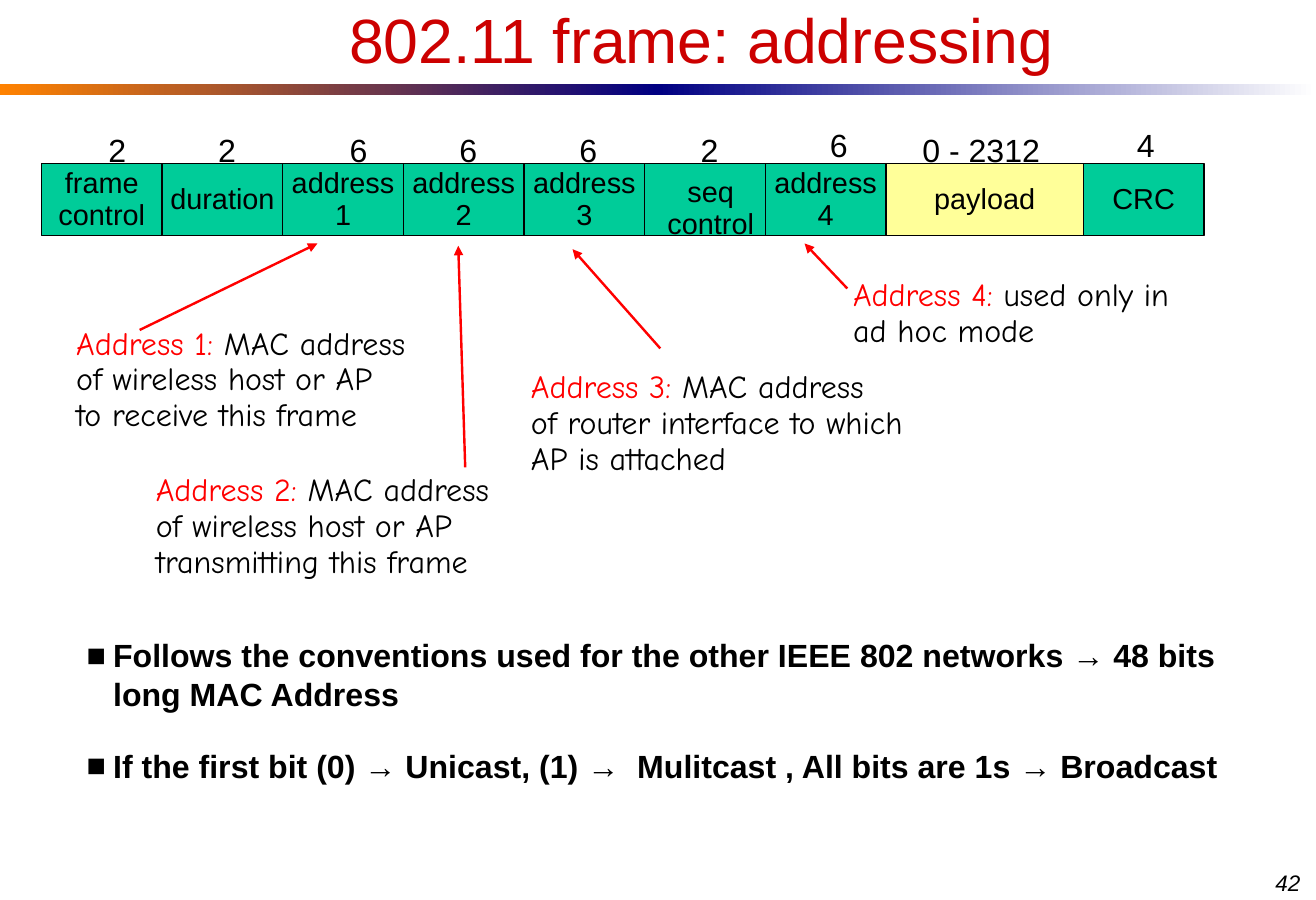
from dataclasses import dataclass

from lxml import etree
from pptx import Presentation
from pptx.dml.color import RGBColor
from pptx.enum import shapes, text
from pptx.oxml import ns
from pptx.util import Inches, Pt


@dataclass(frozen=True)
class Theme:
    black: str = "000000"
    white: str = "FFFFFF"
    title: str = "CC0000"
    red: str = "FF0000"
    orange: str = "FF8200"
    navy: str = "000082"
    header: str = "00CC99"
    payload: str = "FFFF99"
    sans: str = "Arial"
    comic: str = "Comic Neue"
    title_size: float = 39
    body_size: float = 20
    cell_size: float = 18
    number_size: float = 14
    leading: float = 0.93


@dataclass(frozen=True)
class Box:
    left: float
    top: float
    width: float
    height: float

    def inches(self):
        return [Inches(v) for v in (self.left, self.top, self.width, self.height)]


@dataclass(frozen=True)
class Field:
    """One frame field; size_x is the centre of its byte count within the strip."""
    name: str
    size: str
    size_x: float
    size_rise: float = 0.31
    width: float = 1.045
    fill: str = Theme.header
    name_shift: tuple = (0, 0)


THEME = Theme()
FIELDS = [
    Field("frame\ncontrol", "2", 0.655),
    Field("duration", "2", 1.605),
    Field("address\n1", "6", 2.745),
    Field("address\n2", "6", 3.695),
    Field("address\n3", "6", 4.735),
    Field("seq\ncontrol", "2", 5.785, name_shift=(0.05, 0.08)),
    Field("address\n4", "6", 6.905, 0.35),
    Field("payload", "0 - 2312", 8.14, width=1.71, fill=THEME.payload),
    Field("CRC", "4", 9.565, 0.35),
]
# Box, label, lines, arrow start and arrow tip (both measured from the box corner)
CALLOUTS = [
    (Box(0.55, 2.78, 3.08, 1.04), "Address 1:",
     [" MAC address", "of wireless host or AP", "to receive this frame"],
     (0.66, 0.08), (2.2, -0.67)),
    (Box(1.24, 4.05, 3.12, 1.04), "Address 2:",
     [" MAC address", "of wireless host or AP", "transmitting this frame"],
     (2.79, 0), (2.73, -1.92)),
    (Box(4.49, 3.16, 3.8, 1.04), "Address 3:",
     [" MAC address", "of router interface to which AP is attached"],
     (1.23, -0.14), (0.47, -1)),
    (Box(7.28, 2.36, 3.25, 0.73), "Address 4:", [" used only in ad hoc mode"],
     (0.06, 0.14), (-0.31, -0.25)),
]
NOTES = [
    "Follows the conventions used for the other IEEE 802 networks → 48 bits long MAC Address",
    "If the first bit (0) → Unicast, (1) →  Mulitcast , All bits are 1s → Broadcast",
]


def rgb(color):
    return RGBColor.from_string(color)


def style(para, size, color=THEME.black, name=THEME.sans, bold=False, italic=False):
    font = para.font
    font.size, font.name, font.bold, font.italic = Pt(size), name, bold, italic
    font.color.rgb = rgb(color)


def add_text_box(page, box):
    frame = page.shapes.add_textbox(*box.inches()).text_frame
    frame.word_wrap = True
    return frame


def write_lines(frame, lines, size, name=THEME.sans, align=text.PP_ALIGN.CENTER):
    for index, line in enumerate(lines):
        para = frame.paragraphs[0] if index == 0 else frame.add_paragraph()
        para.add_run().text = line
        para.alignment = align
        para.line_spacing = THEME.leading
        style(para, size, name=name)


def add_title(page, box):
    title = page.shapes.title
    title.left, title.top, title.width, title.height = box.inches()
    frame = title.text_frame
    frame.auto_size = text.MSO_AUTO_SIZE.NONE
    frame.vertical_anchor = text.MSO_ANCHOR.MIDDLE
    write_lines(frame, ["802.11 frame: addressing"], THEME.title_size)
    frame.paragraphs[0].font.color.rgb = rgb(THEME.title)


def add_rule(page, box):
    half = box.width / 2
    for index, colors in enumerate([(THEME.orange, THEME.navy), (THEME.navy, THEME.white)]):
        part = Box(box.left + index * half, box.top, half, box.height)
        bar = page.shapes.add_shape(shapes.MSO_SHAPE.RECTANGLE, *part.inches())
        bar.shadow.inherit = False
        bar.line.fill.background()
        bar.fill.gradient()
        bar.fill.gradient_angle = 0
        for stop, color, position in zip(bar.fill.gradient_stops, colors, (0, 1)):
            stop.color.rgb, stop.position = rgb(color), position


def add_frame_strip(page, box):
    """Draw the frame fields side by side, with byte counts above them."""
    left = box.left
    for field in FIELDS:
        place = Box(left, box.top, field.width, box.height)
        cell = page.shapes.add_shape(shapes.MSO_SHAPE.RECTANGLE, *place.inches())
        cell.shadow.inherit = False
        cell.fill.solid()
        cell.fill.fore_color.rgb = rgb(field.fill)
        cell.line.color.rgb, cell.line.width = rgb(THEME.black), Pt(0.75)
        frame = cell.text_frame
        if any(field.name_shift):
            right, down = field.name_shift
            frame = add_text_box(page, Box(left + right, box.top + down,
                                           field.width, box.height))
        frame.word_wrap = False
        frame.vertical_anchor = text.MSO_ANCHOR.MIDDLE
        write_lines(frame, field.name.split("\n"), THEME.cell_size)
        left += field.width
    for field in FIELDS:
        width = 0.35 if len(field.size) == 1 else 1.22
        size_box = Box(box.left + field.size_x - width / 2,
                       box.top - field.size_rise, width, 0.41)
        frame = add_text_box(page, size_box)
        frame.word_wrap = False
        write_lines(frame, [field.size], THEME.body_size)


def add_callout(page, box, label, lines, start, tip):
    frame = add_text_box(page, box)
    frame.margin_left = frame.margin_right = Inches(0.11)
    write_lines(frame, [label, *lines[1:]], THEME.body_size, THEME.comic,
                text.PP_ALIGN.LEFT)
    first = frame.paragraphs[0]
    first.runs[0].font.color.rgb = rgb(THEME.red)
    first.add_run().text = lines[0]

    ends = [Inches(v) for x, y in (start, tip) for v in (box.left + x, box.top + y)]
    arrow = page.shapes.add_connector(shapes.MSO_CONNECTOR.STRAIGHT, *ends)
    arrow.line.color.rgb, arrow.line.width = rgb(THEME.red), Pt(1.5)
    etree.SubElement(arrow.line._get_or_add_ln(), ns.qn("a:tailEnd"), type="triangle")
    etree.SubElement(arrow._element.spPr, ns.qn("a:effectLst"))


def add_notes_list(page, box):
    body = page.placeholders[1]
    body.left, body.top, body.width, body.height = box.inches()
    frame = body.text_frame
    frame.auto_size = text.MSO_AUTO_SIZE.NONE
    for index, note in enumerate(NOTES):
        para = frame.paragraphs[0] if index == 0 else frame.add_paragraph()
        para.text = note
        props = para._p.get_or_add_pPr()
        props.set("marL", str(Inches(0.23)))
        props.set("indent", str(-Inches(0.23)))
        etree.SubElement(props, ns.qn("a:buFont"), typeface=THEME.sans)
        etree.SubElement(props, ns.qn("a:buChar"), char="■")
        para.space_before, para.space_after = Pt(5), Pt(15.8)
        style(para, THEME.body_size, bold=True)


def add_page_number(page, box):
    para = add_text_box(page, box).paragraphs[0]
    para.text = "42"
    style(para, THEME.number_size, italic=True)


def main():
    deck = Presentation()
    deck.slide_width, deck.slide_height = Inches(11.4), Inches(7.8)
    page = deck.slides.add_slide(deck.slide_layouts[1])
    add_rule(page, Box(0, 0.73, 11.4, 0.09))
    add_page_number(page, Box(10.95, 7.48, 0.45, 0.34))
    add_title(page, Box(1.2, 0, 9.75, 0.73))
    add_frame_strip(page, Box(0.36, 1.42, 10.07, 0.62))
    for callout in CALLOUTS:
        add_callout(page, *callout)
    add_notes_list(page, Box(0.65, 5.46, 10.47, 1.39))
    deck.save("out.pptx")


if __name__ == "__main__":
    main()
